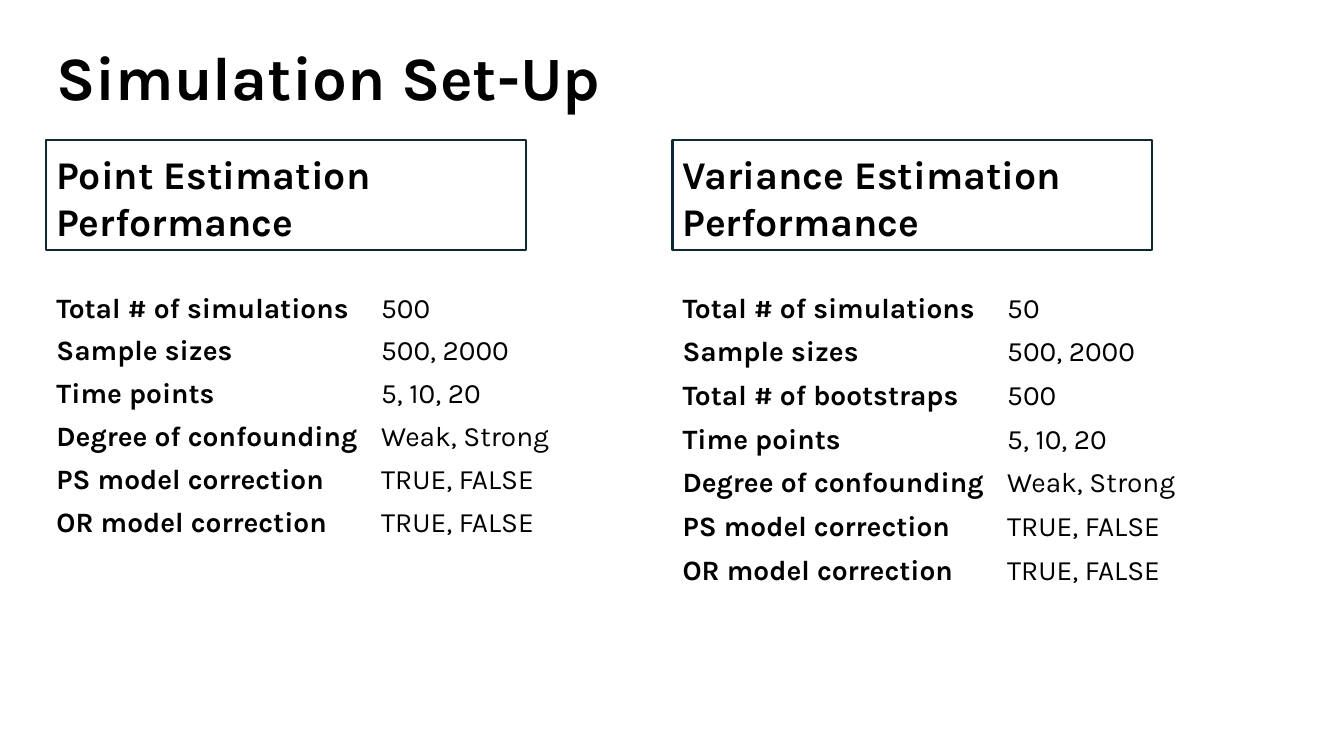
"""Build the simulation set-up slide with two parameter tables."""
from pptx import Presentation
from pptx.dml.color import RGBColor
from pptx.enum.shapes import MSO_SHAPE
from pptx.enum.text import MSO_ANCHOR, PP_ALIGN
from pptx.util import Inches, Pt

RECTANGLE = MSO_SHAPE.RECTANGLE
MIDDLE = MSO_ANCHOR.MIDDLE
LEFT = PP_ALIGN.LEFT
BLACK = "000000"
NAVY = "092A39"
COLUMN_WIDTHS = (3.22, 2.11)
ROW_HEIGHT = 0.27

SHARED_ROWS = [
    ("Time points", "5, 10, 20"),
    ("Degree of confounding", "Weak, Strong"),
    ("PS model correction", "TRUE, FALSE"),
    ("OR model correction", "TRUE, FALSE"),
]
PANELS = [
    {
        "heading": "Point Estimation Performance",
        "left": 0.46,
        "heading_width": 5.34,
        "rows": [("Total # of simulations", "500"), ("Sample sizes", "500, 2000"),
                 *SHARED_ROWS, ("", "")],
    },
    {
        "heading": "Variance Estimation Performance",
        "left": 6.67,
        "heading_width": 4.76,
        "rows": [("Total # of simulations", "50"), ("Sample sizes", "500, 2000"),
                 ("Total # of bootstraps", "500"), *SHARED_ROWS],
    },
]


def color(hex_value):
    return RGBColor.from_string(hex_value)


def write(text_frame, text, size, bold):
    paragraph = text_frame.paragraphs[0]
    paragraph.alignment = LEFT
    paragraph.text = text
    font_format = {"name": "Karla", "size": Pt(size), "bold": bold}
    for attribute, value in font_format.items():
        setattr(paragraph.font, attribute, value)
    paragraph.font.color.rgb = color(BLACK)
    return paragraph


presentation = Presentation()
presentation.slide_width = Inches(13.33)
presentation.slide_height = Inches(7.5)
slide = presentation.slides.add_slide(presentation.slide_layouts[5])

title = slide.shapes.title
title_box = {"left": 0.46, "top": 0.4, "width": 11.95, "height": 0.8}
for attribute, value in title_box.items():
    setattr(title, attribute, Inches(value))
title.text_frame.vertical_anchor = MIDDLE
title_paragraph = write(title.text_frame, "Simulation Set-Up", 44, True)
title_paragraph.line_spacing = 0.9

for panel in PANELS:
    left = Inches(panel["left"])
    rows = panel["rows"]
    frame = slide.shapes.add_table(len(rows), len(COLUMN_WIDTHS), left, Inches(2.85),
                                   Inches(sum(COLUMN_WIDTHS)), Inches(ROW_HEIGHT * len(rows)))
    table = frame.table
    table.first_row = False
    table.horz_banding = False
    for column, width in zip(table.columns, COLUMN_WIDTHS):
        column.width = Inches(width)
    for row, texts in zip(table.rows, rows):
        row.height = Inches(ROW_HEIGHT)
        for index, (cell, text) in enumerate(zip(row.cells, texts)):
            cell.fill.background()
            write(cell.text_frame, text, 20, index == 0)

    heading = slide.shapes.add_textbox(left, Inches(1.44), Inches(panel["heading_width"]), Inches(1.04))
    heading.text_frame.word_wrap = True
    write(heading.text_frame, panel["heading"], 28, True)

    border = slide.shapes.add_shape(RECTANGLE, left, Inches(1.39), Inches(4.76), Inches(1.09))
    border.shadow.inherit = False
    border.fill.background()
    border.line.color.rgb = color(NAVY)
    border.line.width = Pt(1.5)

presentation.save("out.pptx")
